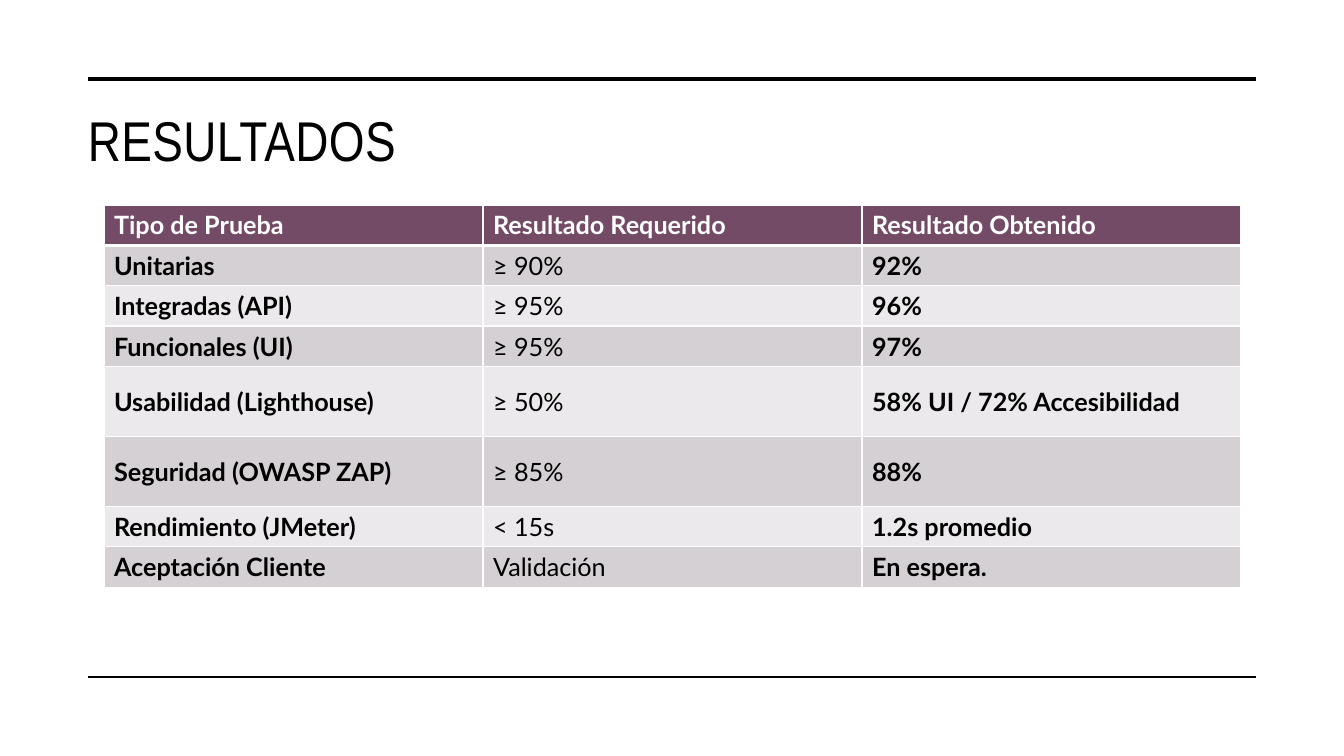
import pptx
import pptx.dml.color
import pptx.enum.shapes
import pptx.enum.text
import pptx.oxml
import pptx.oxml.ns
import pptx.util

EMU_PER_PX = 914400 / 100.8
COLORS = {
    "ink": "000000",
    "paper": "FFFFFF",
    "header": "734B67",
    "odd_row": "D5D0D3",
    "even_row": "EBE9EB",
}
RESULTS = [
    ("Tipo de Prueba", "Resultado Requerido", "Resultado Obtenido"),
    ("Unitarias", "≥ 90%", "92%"),
    ("Integradas (API)", "≥ 95%", "96%"),
    ("Funcionales (UI)", "≥ 95%", "97%"),
    ("Usabilidad (Lighthouse)", "≥ 50%", "58% UI / 72% Accesibilidad"),
    ("Seguridad (OWASP ZAP)", "≥ 85%", "88%"),
    ("Rendimiento (JMeter)", "< 15s", "1.2s promedio"),
    ("Aceptación Cliente", "Validación", "En espera."),
]
ROW_HEIGHTS = [40, 40, 40, 40, 70, 70, 40, 40]
COLUMN_WIDTH = 379
REQUIRED_COLUMN = 1


def px(length):
    return pptx.util.Emu(round(length * EMU_PER_PX))


def rgb(color):
    return pptx.dml.color.RGBColor.from_string(COLORS[color])


def add_run(paragraph, text, font, size, color, bold=False):
    run = paragraph.add_run()
    run.text = text
    run.font.name = font
    run.font.size = pptx.util.Pt(size)
    run.font.bold = bold
    run.font.color.rgb = rgb(color)
    return run


def add_rule(slide, y, weight):
    rule = slide.shapes.add_connector(
        pptx.enum.shapes.MSO_CONNECTOR.STRAIGHT, px(88), px(y), px(1256), px(y))
    rule.line.color.rgb = rgb("ink")
    rule.line.width = pptx.util.Pt(weight)
    properties = rule._element.spPr
    properties.append(pptx.oxml.parse_xml(
        f"<a:effectLst {pptx.oxml.ns.nsdecls('a')}/>"))


def add_title(slide, text):
    title = slide.shapes.add_textbox(px(78), px(101), px(1178), px(144))
    frame = title.text_frame
    frame.word_wrap = True
    run = add_run(frame.paragraphs[0], text, "Arial Narrow", 40, "ink")
    run.font._element.set("spc", "30")


def set_borders(cell, bottom_weight):
    properties = cell._tc.get_or_add_tcPr()
    weights = {"lnL": 1, "lnR": 1, "lnT": 1, "lnB": bottom_weight}
    for position, (side, weight) in enumerate(weights.items()):
        properties.insert(position, pptx.oxml.parse_xml(
            f"<a:{side} {pptx.oxml.ns.nsdecls('a')} w='{pptx.util.Pt(weight)}'>"
            f"<a:solidFill><a:srgbClr val='{COLORS['paper']}'/></a:solidFill>"
            f"</a:{side}>"))


def fill_cell(cell, text, fill, color, bold, bottom_weight):
    cell.fill.solid()
    cell.fill.fore_color.rgb = rgb(fill)
    cell.vertical_anchor = pptx.enum.text.MSO_ANCHOR.MIDDLE
    add_run(cell.text_frame.paragraphs[0], text, "Lato", 18, color, bold)
    set_borders(cell, bottom_weight)


def add_results(slide):
    columns = len(RESULTS[0])
    results = slide.shapes.add_table(
        len(RESULTS), columns, px(104), px(205),
        px(COLUMN_WIDTH * columns), px(sum(ROW_HEIGHTS))).table
    for column in results.columns:
        column.width = px(COLUMN_WIDTH)
    for row, (height, texts) in enumerate(zip(ROW_HEIGHTS, RESULTS)):
        results.rows[row].height = px(height)
        is_header = row == 0
        body_fill = "odd_row" if row % 2 else "even_row"
        for column, text in enumerate(texts):
            fill_cell(
                results.cell(row, column), text,
                fill="header" if is_header else body_fill,
                color="paper" if is_header else "ink",
                bold=is_header or column != REQUIRED_COLUMN,
                bottom_weight=3 if is_header else 1)


def main():
    presentation = pptx.Presentation()
    presentation.slide_width = px(1344)
    presentation.slide_height = px(756)
    slide = presentation.slides.add_slide(presentation.slide_layouts[6])
    slide.background.fill.solid()
    slide.background.fill.fore_color.rgb = rgb("paper")
    add_rule(slide, 79, 3.5)
    add_rule(slide, 677, 1)
    add_title(slide, "RESULTADOS")
    add_results(slide)
    presentation.save("out.pptx")


if __name__ == "__main__":
    main()
